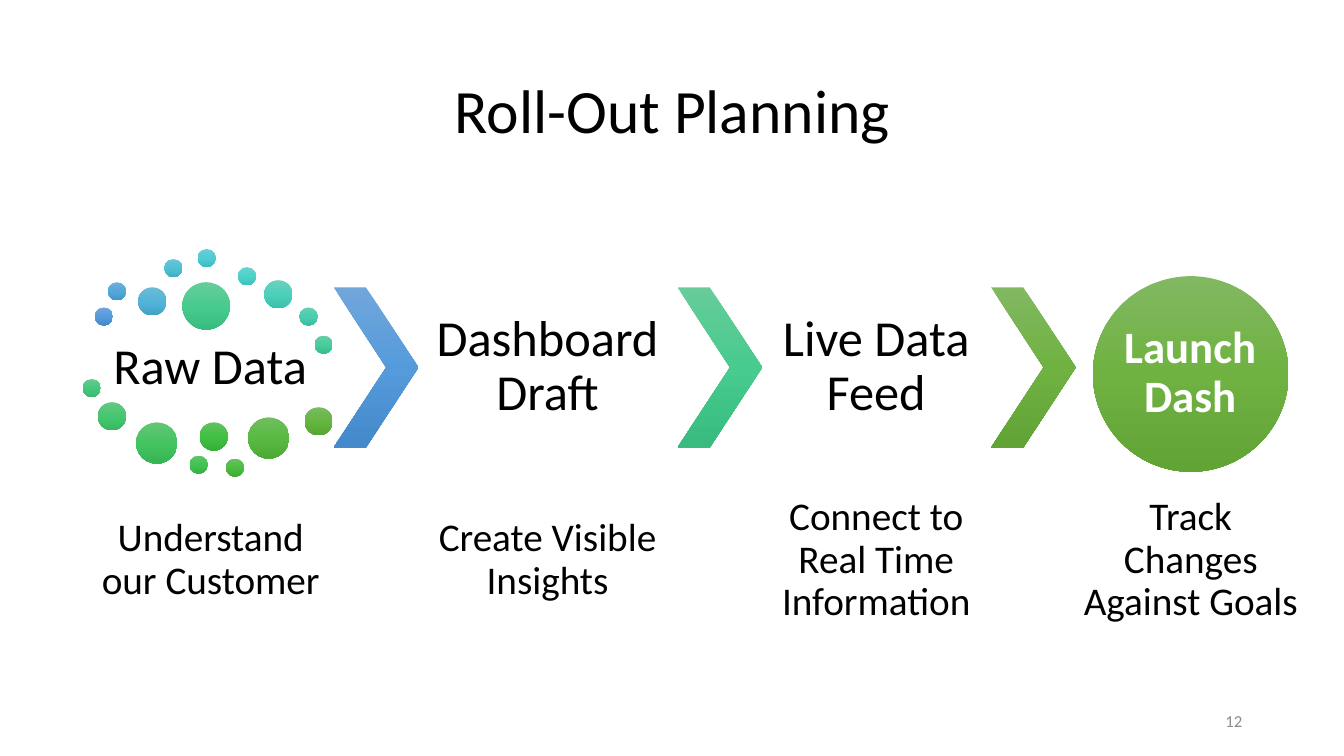
import copy
from dataclasses import dataclass

import pptx
import pptx.dml.color
import pptx.enum.shapes
import pptx.enum.text
import pptx.oxml.ns
import pptx.util

Inches = pptx.util.Inches
Shape = pptx.enum.shapes.MSO_SHAPE
Align = pptx.enum.text.PP_ALIGN


@dataclass(frozen=True)
class Theme:
    font: str = "Calibri"
    text: str = "000000"
    inverse: str = "FFFFFF"
    muted: str = "8C8C8C"
    title_size: int = 44
    stage_size: int = 36
    goal_size: int = 32
    caption_size: int = 28
    number_size: int = 12
    blue: tuple = ("71A6DB", "559BDB", "448ACA")
    teal: tuple = ("67CC9A", "47CB8E", "39BB7F")
    green: tuple = ("81B861", "6FB242", "62A336")


THEME = Theme()
SMALL, MEDIUM, LARGE, CORE = 0.18, 0.28, 0.41, 0.47
CHEVRON_TOP, CHEVRON_WIDTH, CHEVRON_HEIGHT = 2.85, 0.84, 1.59
CAPTION_TOP, CAPTION_WIDTH, CAPTION_HEIGHT = 4.86, 2.28, 1.4

DOTS = [
    (0.94, 3.05, SMALL, THEME.blue),
    (1.07, 2.80, SMALL, ("70B0D9", "53A8D9", "4397C8")),
    (1.37, 2.85, MEDIUM, ("6FBAD7", "52B4D8", "42A3C7")),
    (1.63, 2.57, SMALL, ("6EC4D6", "50C0D6", "40AFC5")),
    (1.96, 2.47, SMALL, ("6CCED4", "4FCCD4", "3FBCC3")),
    (2.36, 2.65, SMALL, ("6BD3CD", "4DD2CC", "3EC2BC")),
    (2.62, 2.78, MEDIUM, ("6AD1C0", "4CD0BC", "3CC0AC")),
    (2.97, 3.05, SMALL, ("69CFB3", "4ACEAD", "3BBE9D")),
    (3.12, 3.33, SMALL, ("68CDA6", "49CD9D", "3ABD8E")),
    (1.81, 2.80, CORE, THEME.teal),
    (0.82, 3.76, SMALL, ("66CA8E", "46C97F", "38B970")),
    (0.97, 3.99, MEDIUM, ("65C882", "45C76F", "37B761")),
    (1.35, 4.19, LARGE, ("64C677", "44C460", "36B552")),
    (1.88, 4.52, SMALL, ("64C46D", "42C252", "35B344")),
    (1.98, 4.19, MEDIUM, ("63C264", "41C043", "34B136")),
    (2.24, 4.55, SMALL, ("69C062", "4CBD41", "3FAD34")),
    (2.46, 4.14, LARGE, ("70BE61", "58BA41", "4CAA35")),
    (3.02, 4.04, MEDIUM, ("79BB61", "64B641", "57A635")),
]

CHEVRONS = [(3.31, THEME.blue), (6.72, THEME.teal), (9.83, THEME.green)]

STAGES = [
    ("Raw Data", (0.95, 3.28, 2.27, 0.75)),
    ("Dashboard Draft", (4.14, CHEVRON_TOP, 2.58, CHEVRON_HEIGHT)),
    ("Live Data Feed", (7.55, CHEVRON_TOP, 2.28, CHEVRON_HEIGHT)),
]

CAPTIONS = [
    ("Understand our Customer", 0.95),
    ("Create Visible Insights", 4.29),
    ("Connect to Real Time Information", 7.55),
    ("Track Changes Against Goals", 10.67),
]


def write_text(shape, text, *, size, color=THEME.text, bold=False,
               align=Align.CENTER, line_spacing=0.9, inset=None):
    frame = shape.text_frame
    frame.word_wrap = True
    frame.auto_size = pptx.enum.text.MSO_AUTO_SIZE.NONE
    frame.vertical_anchor = pptx.enum.text.MSO_ANCHOR.MIDDLE
    if inset is not None:
        frame.margin_left = frame.margin_right = Inches(inset)
        frame.margin_top = frame.margin_bottom = Inches(inset)
    paragraph = frame.paragraphs[0]
    paragraph.alignment = align
    paragraph.line_spacing = line_spacing
    run = paragraph.add_run()
    run.text = text
    run.font.name = THEME.font
    run.font.size = pptx.util.Pt(size)
    run.font.bold = bold
    run.font.color.rgb = pptx.dml.color.RGBColor.from_string(color)


def add_label(slide, text, box, **text_format):
    label = slide.shapes.add_textbox(*map(Inches, box))
    write_text(label, text, **text_format)


def fill_gradient(shape, colors):
    shape.fill.gradient()
    shape.fill.gradient_angle = 270
    stop_list = shape._element.spPr.find(".//" + pptx.oxml.ns.qn("a:gsLst"))
    stop_list.insert(1, copy.deepcopy(stop_list[0]))
    for stop, color, position in zip(shape.fill.gradient_stops, colors, (0, 0.5, 1)):
        stop.color.rgb = pptx.dml.color.RGBColor.from_string(color)
        stop.position = position


def add_gradient_shape(slide, kind, box, colors):
    shape = slide.shapes.add_shape(kind, *map(Inches, box))
    shape.shadow.inherit = False
    shape.line.fill.background()
    fill_gradient(shape, colors)
    return shape


def add_title(slide, text):
    title = slide.shapes.title
    title.left, title.top = Inches(0.92), Inches(0.4)
    title.width, title.height = Inches(11.5), Inches(1.45)
    write_text(title, text, size=THEME.title_size)


def add_chevron(slide, left, colors):
    box = (left, CHEVRON_TOP, CHEVRON_WIDTH, CHEVRON_HEIGHT)
    chevron = add_gradient_shape(slide, Shape.CHEVRON, box, colors)
    chevron.adjustments[0] = 0.62


def main():
    presentation = pptx.Presentation()
    presentation.slide_width = Inches(13.33)
    presentation.slide_height = Inches(7.5)
    slide = presentation.slides.add_slide(presentation.slide_layouts[5])

    add_title(slide, "Roll-Out Planning")
    add_label(slide, "12", (9.42, 6.95, 3, 0.4), size=THEME.number_size,
              color=THEME.muted, align=Align.RIGHT, line_spacing=1.0)
    for left, top, diameter, colors in DOTS:
        add_gradient_shape(slide, Shape.OVAL, (left, top, diameter, diameter), colors)
    for left, colors in CHEVRONS:
        add_chevron(slide, left, colors)
    for text, box in STAGES:
        add_label(slide, text, box, size=THEME.stage_size, inset=0.05)
    add_gradient_shape(slide, Shape.OVAL, (10.84, 2.74, 1.94, 1.94), THEME.green)
    add_label(slide, "Launch Dash", (11.12, 3.02, 1.37, 1.37), size=THEME.goal_size,
              color=THEME.inverse, bold=True, inset=0)
    for text, left in CAPTIONS:
        box = (left, CAPTION_TOP, CAPTION_WIDTH, CAPTION_HEIGHT)
        add_label(slide, text, box, size=THEME.caption_size, inset=0.04)

    presentation.save("out.pptx")


if __name__ == "__main__":
    main()
